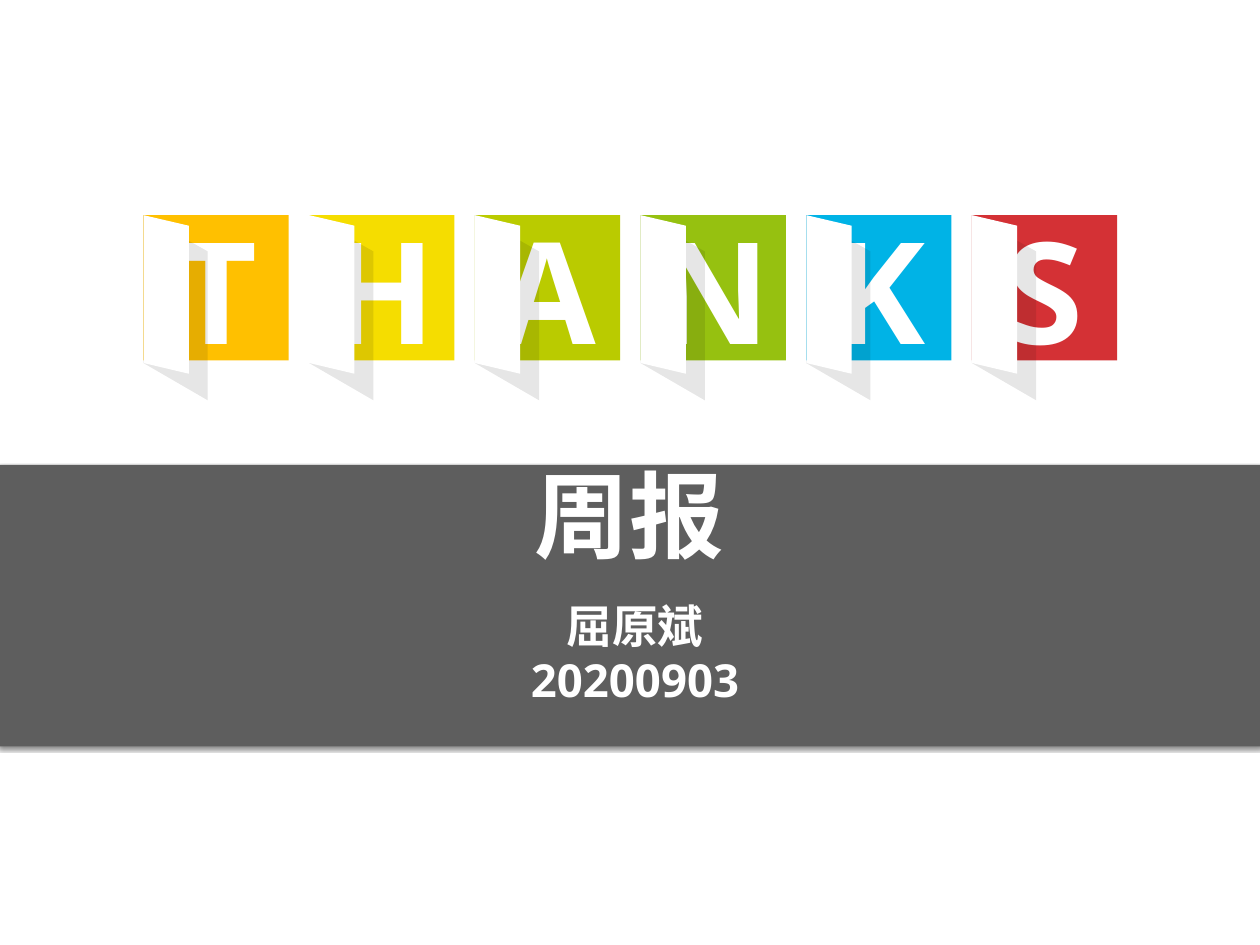
import dataclasses

import lxml.etree
import pptx
import pptx.dml.color
import pptx.enum.shapes
import pptx.enum.text
import pptx.oxml.ns
import pptx.util

RGB = pptx.dml.color.RGBColor
WHITE = RGB(0xFF, 0xFF, 0xFF)
BAND_GREY = RGB(0x5E, 0x5E, 0x5E)
SHADE = RGB(0x0D, 0x0D, 0x0D)
AMBER = RGB(0xFF, 0xC0, 0x00)
YELLOW = RGB(0xF5, 0xDD, 0x00)
LIME = RGB(0xBA, 0xCB, 0x00)
GREEN = RGB(0x96, 0xC1, 0x10)
BLUE = RGB(0x00, 0xB3, 0xE6)
RED = RGB(0xD4, 0x31, 0x35)

W = pptx.util.Inches(14.22)
H = pptx.util.Inches(10.67)
FONT = "Noto Sans"
ANCHOR = pptx.enum.text.MSO_ANCHOR
FIT = pptx.enum.text.MSO_AUTO_SIZE
qn = pptx.oxml.ns.qn


@dataclasses.dataclass(frozen=True)
class Box:
    x: float
    y: float
    w: float
    h: float


@dataclasses.dataclass(frozen=True)
class Tile:
    letter: str
    color: RGB


TILES = [
    Tile("T", AMBER),
    Tile("H", YELLOW),
    Tile("A", LIME),
    Tile("N", GREEN),
    Tile("K", BLUE),
    Tile("S", RED),
]
TILE_LEFT, TILE_TOP, TILE_PITCH = 11.39, 22.77, 13.15
TILE_W, TILE_H = 11.53, 15.37
LETTER_TOP, LETTER_H = 20.99, 18.93
DOOR = [(0, 0), (3.59, 1.12), (3.59, 16.78), (0, 15.65)]
DOOR_SHADE = [(0, 0), (5.1, 3.84), (5.1, 19.59), (0, 15.65)]
BAND = Box(-0.2, 49.2, 100.4, 29.8)
TITLE = Box(28.69, 50.14, 42.55, 10.03)
AUTHOR = Box(38.4, 62.79, 23.98, 15.37)


def share_x(v: float) -> int:
    return round(W * v / 100)


def share_y(v: float) -> int:
    return round(H * v / 100)


def place(box: Box) -> tuple[int, int, int, int]:
    return share_x(box.x), share_y(box.y), share_x(box.w), share_y(box.h)


def paint(sp, color: RGB) -> None:
    sp.fill.solid()
    sp.fill.fore_color.rgb = color
    sp.line.fill.background()
    sp.shadow.inherit = False


def add_rect(s, box: Box, color: RGB):
    sp = s.shapes.add_shape(pptx.enum.shapes.MSO_SHAPE.RECTANGLE, *place(box))
    paint(sp, color)
    return sp


def add_panel(s, left: float, outline: list, color: RGB):
    points = [(share_x(left + x), share_y(TILE_TOP + y)) for x, y in outline]
    builder = s.shapes.build_freeform(*points[0])
    builder.add_line_segments(points[1:])
    sp = builder.convert_to_shape()
    paint(sp, color)
    return sp


def set_alpha(color_element, percent: int) -> None:
    lxml.etree.SubElement(color_element, qn("a:alpha"), val=str(percent * 1000))


def add_drop_shadow(sp) -> None:
    effects = sp.element.spPr.find(qn("a:effectLst"))
    shadow = lxml.etree.SubElement(
        effects, qn("a:outerShdw"), blurRad=str(pptx.util.Pt(3)),
        dist=str(pptx.util.Pt(2)), dir="5400000", rotWithShape="0")
    color = lxml.etree.SubElement(shadow, qn("a:srgbClr"), val="000000")
    set_alpha(color, 48)


def write(sp, lines: list[str], size: float, anchor=ANCHOR.TOP, fit=FIT.NONE) -> None:
    tf = sp.text_frame
    inset = pptx.util.Inches(0.05)
    frame = {"word_wrap": True, "auto_size": fit, "vertical_anchor": anchor,
             "margin_left": inset, "margin_right": inset,
             "margin_top": inset, "margin_bottom": inset}
    for name, value in frame.items():
        setattr(tf, name, value)
    tf.text = "\n".join(lines)
    for p in tf.paragraphs:
        p.alignment = pptx.enum.text.PP_ALIGN.CENTER
        for r in p.runs:
            style = {"name": FONT, "size": pptx.util.Pt(size), "bold": True}
            for name, value in style.items():
                setattr(r.font, name, value)
            r.font.color.rgb = WHITE
            latin = r.font._element.find(qn("a:latin"))
            latin.addnext(latin.makeelement(qn("a:ea"), typeface=FONT))


def add_tile(s, left: float, tile: Tile) -> None:
    add_rect(s, Box(left, TILE_TOP, TILE_W, TILE_H), tile.color)
    letter = s.shapes.add_textbox(*place(Box(left, LETTER_TOP, TILE_W, LETTER_H)))
    write(letter, [tile.letter], 115, ANCHOR.MIDDLE, FIT.SHAPE_TO_FIT_TEXT)
    shade = add_panel(s, left, DOOR_SHADE, SHADE)
    set_alpha(shade.element.spPr.find(qn("a:solidFill"))[0], 10)
    add_panel(s, left, DOOR, WHITE)


def main() -> None:
    prs = pptx.Presentation()
    prs.slide_width, prs.slide_height = W, H
    s = prs.slides.add_slide(prs.slide_layouts.get_by_name("Title Only"))

    title = s.shapes.title
    title.left, title.top, title.width, title.height = place(TITLE)
    write(title, ["周报"], 77)
    title.text_frame.paragraphs[0].line_spacing = pptx.util.Pt(75)

    band = add_rect(s, BAND, BAND_GREY)
    add_drop_shadow(band)
    title.element.addprevious(band.element)

    author = s.shapes.add_textbox(*place(AUTHOR))
    write(author, ["屈原斌", "20200903"], 37)

    for i, tile in enumerate(TILES):
        add_tile(s, TILE_LEFT + i * TILE_PITCH, tile)

    prs.save("out.pptx")


if __name__ == "__main__":
    main()
